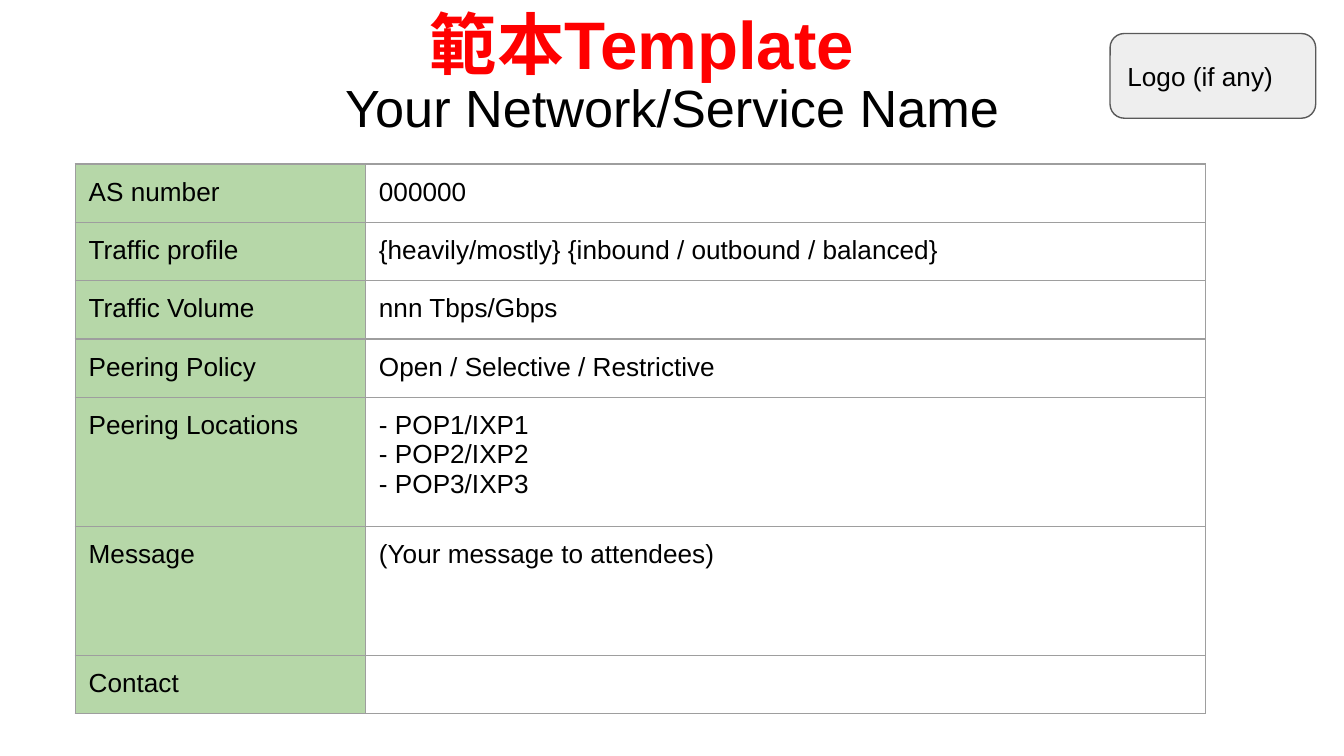
from lxml import etree
from pptx import Presentation
from pptx.dml.color import RGBColor
from pptx.enum import shapes, text
from pptx.oxml.ns import qn
from pptx.util import Inches, Pt

WIDE = 10
TALL = WIDE * 9 / 16
ROWS = [
    ("AS number", "000000", 0.43),
    ("Traffic profile", "{heavily/mostly} {inbound / outbound / balanced}", 0.43),
    ("Traffic Volume", "nnn Tbps/Gbps", 0.43),
    ("Peering Policy", "Open / Selective / Restrictive", 0.43),
    ("Peering Locations", "- POP1/IXP1\n- POP2/IXP2\n- POP3/IXP3", 0.96),
    ("Message", "(Your message to attendees)", 0.96),
    ("Contact", "", 0.43),
]
COLS = [2.16, 6.25]
GREEN, GRID = "B6D7A8", "9E9E9E"


def color(code):
    return RGBColor.from_string(code)


def write(frame, words, size, code="000000", bold=False, align=text.PP_ALIGN.LEFT):
    frame.text = words
    for para in frame.paragraphs:
        para.alignment = align
        font = para.font
        font.name, font.size, font.bold = "Arial", Pt(size), bold
        font.color.rgb = color(code)


def pad(box):
    """Set the inner margins of a text frame or a table cell."""
    box.margin_left = box.margin_right = Inches(0.1)
    box.margin_top = box.margin_bottom = Inches(0.1)


def add_text(slide, place, words, size, **look):
    frame = slide.shapes.add_textbox(*map(Inches, place)).text_frame
    frame.word_wrap = True
    pad(frame)
    write(frame, words, size, **look)


def add_border(cell):
    props = cell._tc.get_or_add_tcPr()
    for side in ("lnL", "lnR", "lnT", "lnB"):
        line = etree.SubElement(props, qn(f"a:{side}"), w=str(Pt(0.75)))
        fill = etree.SubElement(line, qn("a:solidFill"))
        etree.SubElement(fill, qn("a:srgbClr"), val=GRID)


def add_profile(slide):
    high = sum(row[2] for row in ROWS)
    place = (0.56, 1.22, sum(COLS), high)
    table = slide.shapes.add_table(len(ROWS), len(COLS), *map(Inches, place)).table
    for col, wide in zip(table.columns, COLS):
        col.width = Inches(wide)
    for r, (label, value, tall) in enumerate(ROWS):
        table.rows[r].height = Inches(tall)
        for c, words in enumerate((label, value)):
            cell = table.cell(r, c)
            pad(cell)
            write(cell.text_frame, words, 14)
            add_border(cell)
            if c == 0:
                cell.fill.solid()
                cell.fill.fore_color.rgb = color(GREEN)
            else:
                cell.fill.background()


def add_logo_box(slide):
    place = map(Inches, (8.26, 0.25, 1.53, 0.63))
    box = slide.shapes.add_shape(shapes.MSO_SHAPE.ROUNDED_RECTANGLE, *place)
    box.shadow.inherit = False
    box.fill.solid()
    box.fill.fore_color.rgb = color("EEEEEE")
    box.line.color.rgb = color("595959")
    box.line.width = Pt(0.75)
    pad(box.text_frame)
    box.text_frame.vertical_anchor = text.MSO_ANCHOR.MIDDLE
    write(box.text_frame, "Logo (if any)", 14)


def main():
    deck = Presentation()
    deck.slide_width, deck.slide_height = Inches(WIDE), Inches(TALL)
    slide = deck.slides.add_slide(deck.slide_layouts[6])
    add_text(slide, (0.34, 0.46, 9.32, 0.63), "Your Network/Service Name", 28,
             align=text.PP_ALIGN.CENTER)
    add_profile(slide)
    add_logo_box(slide)
    add_text(slide, (3.1, -0.08, 3.88, 0.81), "範本Template", 36,
             code="FF0000", bold=True)
    deck.save("out.pptx")


if __name__ == "__main__":
    main()
